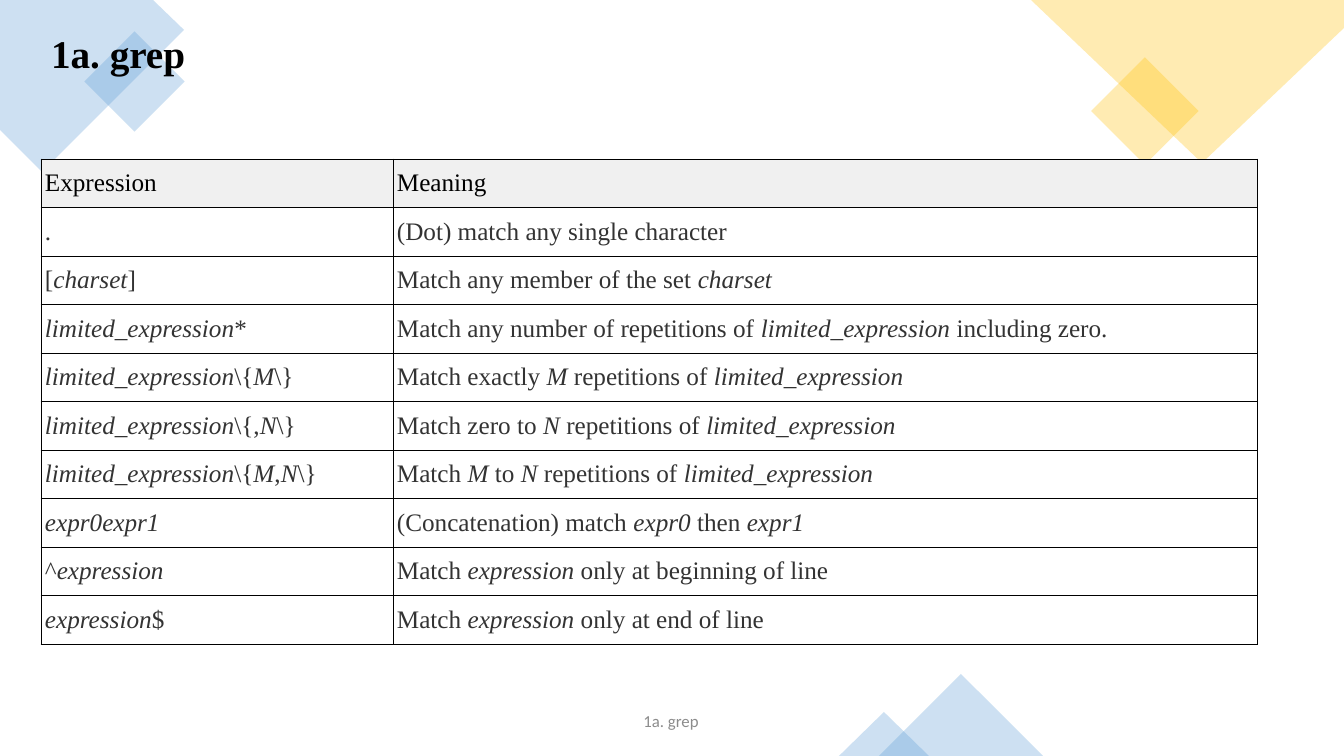
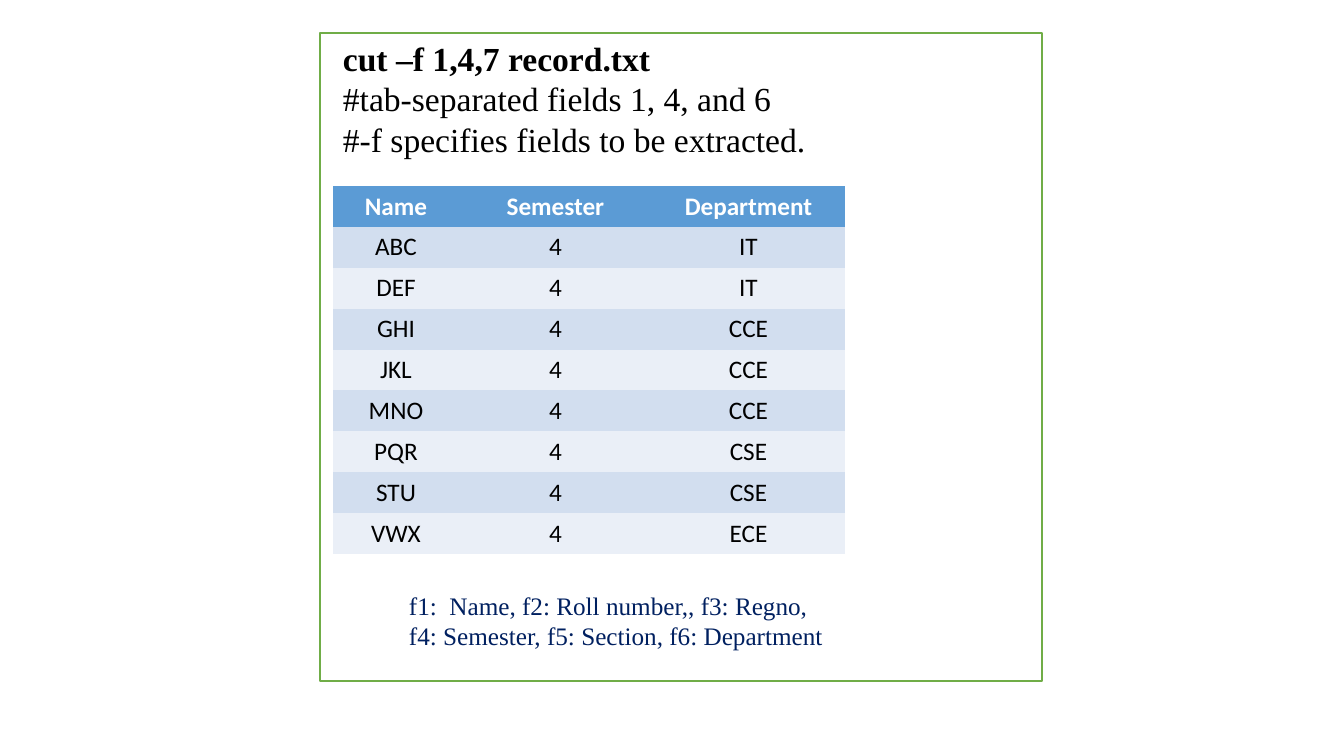
import pptx
import pptx.dml.color
import pptx.enum.shapes
import pptx.enum.text
import pptx.oxml
import pptx.oxml.ns
import pptx.util
import lxml.etree

PIXEL = 914400 / 100.8
SERIF, SANS = "Times New Roman", "Calibri"
BLUE, GOLD, GREEN, NAVY = "5B9BD5", "FFC000", "70AD47", "002060"
BLACK, WHITE, INK, GREY, HEADER_GREY = "000000", "FFFFFF", "333333", "8C8C8C", "F0F0F0"
BANDS = ("D2DEEF", "EAEFF7")
ALIGN = pptx.enum.text.PP_ALIGN
ANCHOR = pptx.enum.text.MSO_ANCHOR
SHAPE = pptx.enum.shapes.MSO_SHAPE

# Tildes enclose the italic parts.
EXPRESSIONS = [
    ("Expression", "Meaning"),
    (".", "(Dot) match any single character"),
    ("[~charset~]", "Match any member of the set ~charset~"),
    ("~limited_expression~*",
     "Match any number of repetitions of ~limited_expression~ including zero."),
    (r"~limited_expression~\{~M~\}", "Match exactly ~M~ repetitions of ~limited_expression~"),
    (r"~limited_expression~\{,~N~\}", "Match zero to ~N~ repetitions of ~limited_expression~"),
    (r"~limited_expression~\{~M~,~N~\}",
     "Match ~M~ to ~N~ repetitions of ~limited_expression~"),
    ("~expr0expr1~", "(Concatenation) match ~expr0~ then ~expr1~"),
    ("^~expression~", "Match ~expression~ only at beginning of line"),
    ("~expression~$", "Match ~expression~ only at end of line"),
]
RECORDS = [
    ("Name", "Semester", "Department"),
    ("ABC", "4", "IT"),
    ("DEF", "4", "IT"),
    ("GHI", "4", "CCE"),
    ("JKL", "4", "CCE"),
    ("MNO", "4", "CCE"),
    ("PQR", "4", "CSE"),
    ("STU", "4", "CSE"),
    ("VWX", "4", "ECE"),
]


def px(length):
    """Turn pixels into EMU."""
    return pptx.util.Emu(round(length * PIXEL))


def rgb(colour):
    """Turn a hex string into a colour."""
    return pptx.dml.color.RGBColor.from_string(colour)


def format_run(run, font, size, colour, bold=False, italic=False):
    """Set the character format of one run."""
    run.font.name, run.font.size = font, pptx.util.Pt(size)
    run.font.bold, run.font.italic = bold, italic
    run.font.color.rgb = rgb(colour)


def write_marked(paragraph, text, **style):
    """Write text whose parts between tildes are italic."""
    text = text.replace(" ~", "\u00a0~").replace("~ ", "~\u00a0")
    for index, part in enumerate(text.split("~")):
        if part:
            run = paragraph.add_run()
            run.text = part
            format_run(run, italic=index % 2 == 1, **style)


def write_lines(text_frame, lines, align=ALIGN.LEFT, anchor=ANCHOR.TOP, bold_first=False,
                **style):
    """Fill a wrapping text frame, one paragraph per line."""
    text_frame.word_wrap = True
    text_frame.vertical_anchor = anchor
    text_frame.text = "\n".join(lines)
    for index, paragraph in enumerate(text_frame.paragraphs):
        paragraph.alignment = align
        for run in paragraph.runs:
            format_run(run, bold=bold_first and index == 0, **style)


def add_text(slide, box, lines, **style):
    """Add a text box."""
    shape = slide.shapes.add_textbox(*map(px, box))
    write_lines(shape.text_frame, lines, **style)


def set_title(slide, box, text):
    """Place the title above the decoration and format it."""
    title = slide.shapes.title
    title.left, title.top, title.width, title.height = map(px, box)
    write_lines(title.text_frame, [text], align=ALIGN.JUSTIFY, bold_first=True,
                font=SERIF, size=28, colour=BLACK)
    title.element.getparent().append(title.element)


def make_translucent(shape, colour):
    """Give a shape a 30 % opaque fill and no line."""
    shape.shadow.inherit = False
    shape.line.fill.background()
    shape.fill.solid()
    shape.fill.fore_color.rgb = rgb(colour)
    tint = next(shape.element.iter(pptx.oxml.ns.qn("a:srgbClr")))
    lxml.etree.SubElement(tint, pptx.oxml.ns.qn("a:alpha"), val="30000")


def add_polygon(slide, points, colour):
    """Add a translucent outline through the points."""
    builder = slide.shapes.build_freeform(*points[0], scale=PIXEL)
    builder.add_line_segments(points[1:], close=True)
    make_translucent(builder.convert_to_shape(), colour)


def add_accent(slide, kind, box, colour, rotation=0):
    """Add a translucent preset shape."""
    shape = slide.shapes.add_shape(kind, *map(px, box))
    shape.rotation = rotation
    make_translucent(shape, colour)


def add_decoration(slide):
    """Add the translucent corners and the peaks at the foot."""
    add_polygon(slide, [(0, 0), (153, 0), (184, 30), (42, 172), (0, 130)], BLUE)
    add_accent(slide, SHAPE.RECTANGLE, (99, 46, 71, 71), BLUE, 315)
    add_accent(slide, SHAPE.RECTANGLE, (1107, 73, 76, 76), GOLD, 315)
    add_polygon(slide, [(1031, 0), (1344, 0), (1344, 28), (1202, 163)], GOLD)
    add_accent(slide, SHAPE.ISOSCELES_TRIANGLE, (879, 674, 164, 82), BLUE)
    add_accent(slide, SHAPE.ISOSCELES_TRIANGLE, (839, 712, 90, 44), BLUE)


def set_borders(cell, colour):
    """Draw thin borders round a cell, or none without a colour."""
    properties = cell._tc.get_or_add_tcPr()
    fill = f'<a:solidFill><a:srgbClr val="{colour}"/></a:solidFill>' if colour else "<a:noFill/>"
    for index, side in enumerate("LRTB"):
        properties.insert(index, pptx.oxml.parse_xml(
            f'<a:ln{side} {pptx.oxml.ns.nsdecls("a")} w="9525">{fill}</a:ln{side}>'))


def add_table(slide, box, widths, rows, fills, inks, font, margin=None, border=None,
              align=ALIGN.LEFT, anchor=ANCHOR.TOP, bold_header=False):
    """Add a table; fills and inks give one colour for each row."""
    left, top, height = box
    frame = slide.shapes.add_table(len(rows), len(widths), px(left), px(top),
                                   px(sum(widths)), px(height))
    table = frame.table
    for column, width in zip(table.columns, widths):
        column.width = px(width)
    for index, (row, texts) in enumerate(zip(table.rows, rows)):
        row.height = px(height / len(rows))
        for cell, text in zip(row.cells, texts):
            cell.fill.solid()
            cell.fill.fore_color.rgb = rgb(fills[index])
            set_borders(cell, border)
            cell.vertical_anchor = anchor
            if margin is not None:
                cell.margin_left = cell.margin_right = px(margin)
                cell.margin_top = cell.margin_bottom = px(margin)
            paragraph = cell.text_frame.paragraphs[0]
            paragraph.alignment = align
            write_marked(paragraph, text, font=font, size=18, colour=inks[index],
                         bold=bold_header and index == 0)


def build_grep(presentation):
    """Build the slide on grep expressions."""
    slide = presentation.slides.add_slide(presentation.slide_layouts[5])
    add_decoration(slide)
    body_rows = len(EXPRESSIONS) - 1
    add_table(slide, (41, 159, 485), (352, 865), EXPRESSIONS,
              [HEADER_GREY] + [WHITE] * body_rows, [BLACK] + [INK] * body_rows, SERIF,
              margin=4, border=BLACK, anchor=ANCHOR.MIDDLE)
    add_text(slide, (446, 701, 454, 40), ["1a. grep "], align=ALIGN.CENTER,
             anchor=ANCHOR.MIDDLE, font=SANS, size=12, colour=GREY)
    set_title(slide, (41, 24, 209, 57), "1a. grep ")


def build_cut(presentation):
    """Build the slide on the cut command."""
    slide = presentation.slides.add_slide(presentation.slide_layouts[6])
    panel = slide.shapes.add_shape(SHAPE.RECTANGLE, *map(px, (320, 33, 722, 648)))
    panel.shadow.inherit = False
    panel.fill.solid()
    panel.fill.fore_color.rgb = rgb(WHITE)
    panel.line.color.rgb = rgb(GREEN)
    panel.line.width = pptx.util.Pt(1)
    add_text(slide, (333, 33, 765, 132),
             ["cut –f 1,4,7 record.txt ", "#tab-separated fields 1, 4, and 6 ",
              "#-f specifies fields to be extracted."],
             bold_first=True, font=SERIF, size=24, colour=BLACK)
    body_rows = len(RECORDS) - 1
    add_table(slide, (333, 186, 368), (126, 193, 193), RECORDS,
              [BLUE] + [BANDS[index % 2] for index in range(body_rows)],
              [WHITE] + [BLACK] * body_rows, SANS, align=ALIGN.CENTER, bold_header=True)
    add_text(slide, (399, 585, 563, 72),
             ["f1:  Name, f2: Roll number,, f3: Regno, ",
              "f4: Semester, f5: Section, f6: Department"],
             font=SERIF, size=18, colour=NAVY)


def main():
    """Build and save the presentation."""
    presentation = pptx.Presentation()
    presentation.slide_width, presentation.slide_height = px(1344), px(756)
    build_grep(presentation)
    build_cut(presentation)
    presentation.save("out.pptx")


main()
